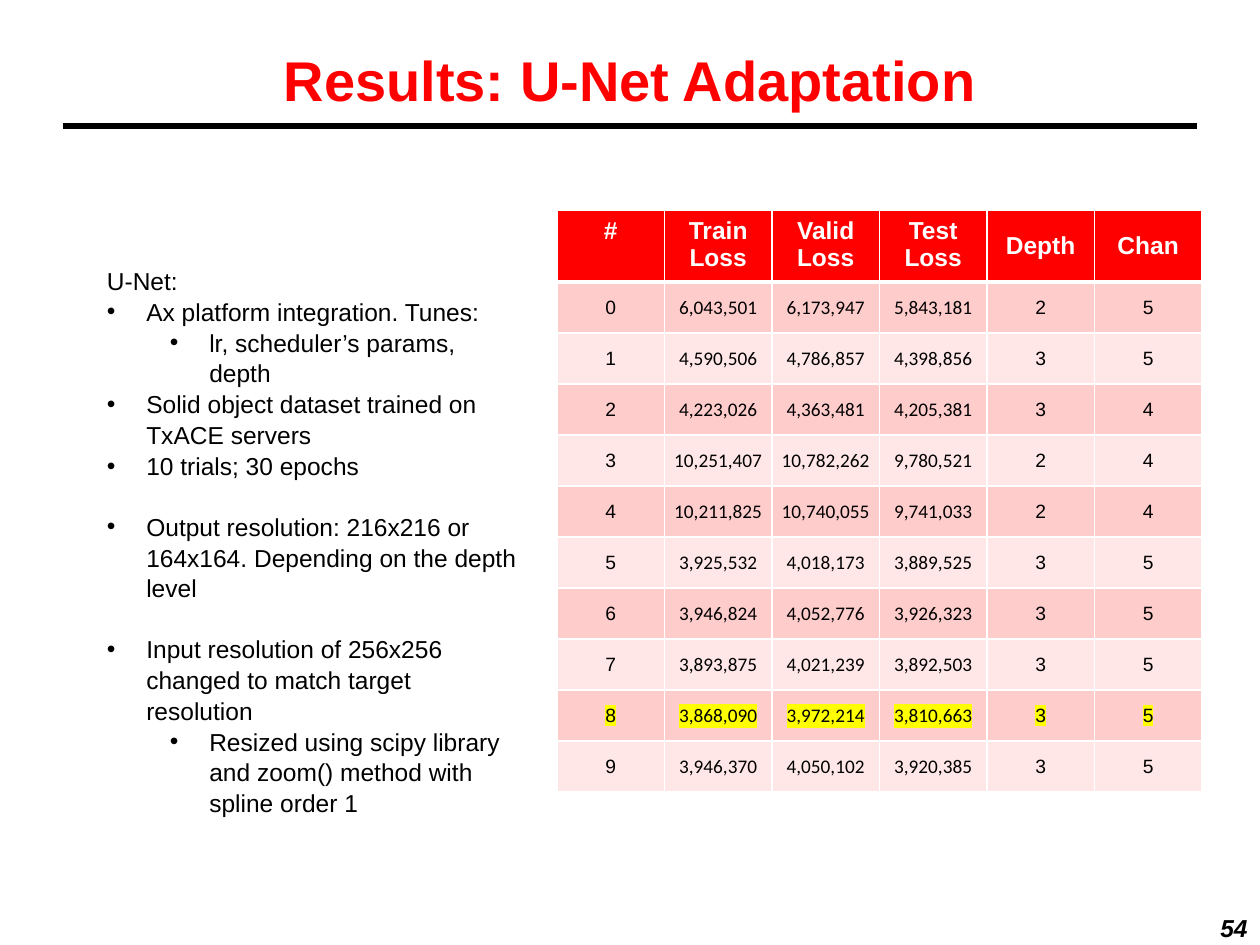
"""Build the slide of U-Net adaptation results: a bullet list beside a table of trials."""
import pptx
import pptx.dml.color
import pptx.enum.shapes
import pptx.enum.text
import pptx.oxml
import pptx.oxml.ns
import pptx.util

Pt = pptx.util.Pt
ALIGN = pptx.enum.text.PP_ALIGN
MIDDLE = pptx.enum.text.MSO_ANCHOR.MIDDLE
TOP = pptx.enum.text.MSO_ANCHOR.TOP

THEME = {
    "red": "FF0000", "black": "000000", "white": "FFFFFF", "mark": "FFFF00",
    "bands": ["FFCCCC", "FFE7E7"],
    "title": {"size": Pt(32), "name": "Arial", "bold": True, "italic": False},
    "number": {"size": Pt(14), "name": "Arial", "bold": True, "italic": True},
    "body": {"size": Pt(14), "name": "Arial", "bold": False, "italic": False},
    "header": {"size": Pt(14), "name": "Arial", "bold": True, "italic": False},
    "count": {"size": Pt(11), "name": "Arial", "bold": False, "italic": False},
    "loss": {"size": Pt(11), "name": "Calibri", "bold": False, "italic": False},
}
HEADINGS = ["#", "Train Loss", "Valid Loss", "Test Loss", "Depth", "Chan"]
TRIALS = [
    (6043501, 6173947, 5843181, 2, 5),
    (4590506, 4786857, 4398856, 3, 5),
    (4223026, 4363481, 4205381, 3, 4),
    (10251407, 10782262, 9780521, 2, 4),
    (10211825, 10740055, 9741033, 2, 4),
    (3925532, 4018173, 3889525, 3, 5),
    (3946824, 4052776, 3926323, 3, 5),
    (3893875, 4021239, 3892503, 3, 5),
    (3868090, 3972214, 3810663, 3, 5),
    (3946370, 4050102, 3920385, 3, 5),
]
BEST_TRIAL = 8
LOSS_COLUMNS = (1, 2, 3)
BULLETS = [
    (None, 0, "U-Net:"),
    (0, 0, "Ax platform integration. Tunes:"),
    (1, 0, "lr, scheduler’s params, depth"),
    (0, 0, "Solid object dataset trained on TxACE servers"),
    (0, 0, "10 trials; 30 epochs"),
    (0, 17, "Output resolution: 216x216 or 164x164. Depending on the depth level"),
    (0, 17, "Input resolution of 256x256 changed to match target resolution"),
    (1, 0, "Resized using scipy library and zoom() method with spline order 1"),
]

presentation = pptx.Presentation()
presentation.slide_width = pptx.util.Inches(10)
presentation.slide_height = pptx.util.Inches(7.5)
slide = presentation.slides.add_slide(presentation.slide_layouts[5])
UNIT = presentation.slide_width // 40


def grid(*lengths):
    """Turn lengths in grid units, 40 across and 30 down, into slide lengths."""
    return [round(length * UNIT) for length in lengths]


def write(paragraph, text, style, color, alignment):
    """Add one formatted run to a paragraph and return it."""
    paragraph.alignment = alignment
    run = paragraph.add_run()
    run.text = text
    for name, value in THEME[style].items():
        setattr(run.font, name, value)
    run.font.color.rgb = pptx.dml.color.RGBColor.from_string(color)
    return run


rule = slide.shapes.add_connector(
    pptx.enum.shapes.MSO_CONNECTOR.STRAIGHT, *grid(2, 4, 38, 4))
rule.line.width = Pt(4)
rule.line.color.rgb = pptx.dml.color.RGBColor.from_string(THEME["black"])
pptx.oxml.ns.qn("a:effectLst")
rule.element.spPr.append(
    pptx.oxml.parse_xml(f'<a:effectLst {pptx.oxml.ns.nsdecls("a")}/>'))

number = slide.shapes.add_textbox(*grid(34.32, 29, 5.68, 0.88))
number.text_frame.vertical_anchor = MIDDLE
number.text_frame.word_wrap = True
write(number.text_frame.paragraphs[0], "54", "number", THEME["black"], ALIGN.RIGHT)

title = slide.shapes.title
title.left, title.top, title.width, title.height = grid(1, 0, 38, 5)
title.text_frame.vertical_anchor = MIDDLE
write(title.text_frame.paragraphs[0], "Results: U-Net Adaptation", "title",
      THEME["red"], ALIGN.CENTER)

rows = [HEADINGS] + [
    [f"{value:,}" for value in (trial, *values)] for trial, values in enumerate(TRIALS)]
table = slide.shapes.add_table(
    len(rows), len(HEADINGS), *grid(17.68, 6.68, 20.48, 18.2)).table
for column in table.columns:
    column.width = grid(20.48 / len(HEADINGS))[0]
for index, row in enumerate(table.rows):
    row.height = grid(1.62 if index else 2)[0]

for row_index, row in enumerate(rows):
    is_header = row_index == 0
    for column_index, text in enumerate(row):
        cell = table.cell(row_index, column_index)
        is_loss = column_index in LOSS_COLUMNS
        cell.vertical_anchor = TOP if is_header and column_index < 4 else MIDDLE
        if is_loss and not is_header:
            margins = {"margin_left": 0.04, "margin_right": 0.04,
                       "margin_top": 0.04, "margin_bottom": 0}
            for name, value in margins.items():
                setattr(cell, name, grid(value)[0])
        thick_side = {0: "B", 1: "T"}.get(row_index)
        properties = cell._tc.get_or_add_tcPr()
        for side in "LRTB":
            width = Pt(3 if side == thick_side else 1)
            properties.append(pptx.oxml.parse_xml(
                f'<a:ln{side} {pptx.oxml.ns.nsdecls("a")} w="{width}"><a:solidFill>'
                f'<a:srgbClr val="{THEME["white"]}"/></a:solidFill></a:ln{side}>'))
        cell.fill.solid()
        cell.fill.fore_color.rgb = pptx.dml.color.RGBColor.from_string(
            THEME["red"] if is_header else THEME["bands"][(row_index - 1) % 2])
        style = "header" if is_header else "loss" if is_loss else "count"
        run = write(cell.text_frame.paragraphs[0], text, style,
                    THEME["white" if is_header else "black"], ALIGN.CENTER)
        if row_index == BEST_TRIAL + 1:
            run.font._element.find(pptx.oxml.ns.qn("a:solidFill")).addnext(
                pptx.oxml.parse_xml(
                    f'<a:highlight {pptx.oxml.ns.nsdecls("a")}>'
                    f'<a:srgbClr val="{THEME["mark"]}"/></a:highlight>'))

findings = slide.shapes.add_textbox(*grid(3, 8.2, 13.8, 17.36))
findings.text_frame.word_wrap = True
for index, (level, space, text) in enumerate(BULLETS):
    frame = findings.text_frame
    paragraph = frame.add_paragraph() if index else frame.paragraphs[0]
    paragraph.line_spacing = 1.05
    if space:
        paragraph.space_before = Pt(space)
    if level is not None:
        paragraph.level = level
        properties = paragraph._p.get_or_add_pPr()
        hanging, step = grid(1.25, 2)
        properties.set("marL", str(hanging + level * step))
        properties.set("indent", str(-hanging))
        for bullet in ('buFont {} typeface="Arial"', 'buChar {} char="•"'):
            properties.append(pptx.oxml.parse_xml(
                f'<a:{bullet.format(pptx.oxml.ns.nsdecls("a"))}/>'))
    write(paragraph, text, "body", THEME["black"], ALIGN.LEFT)

presentation.save("out.pptx")
